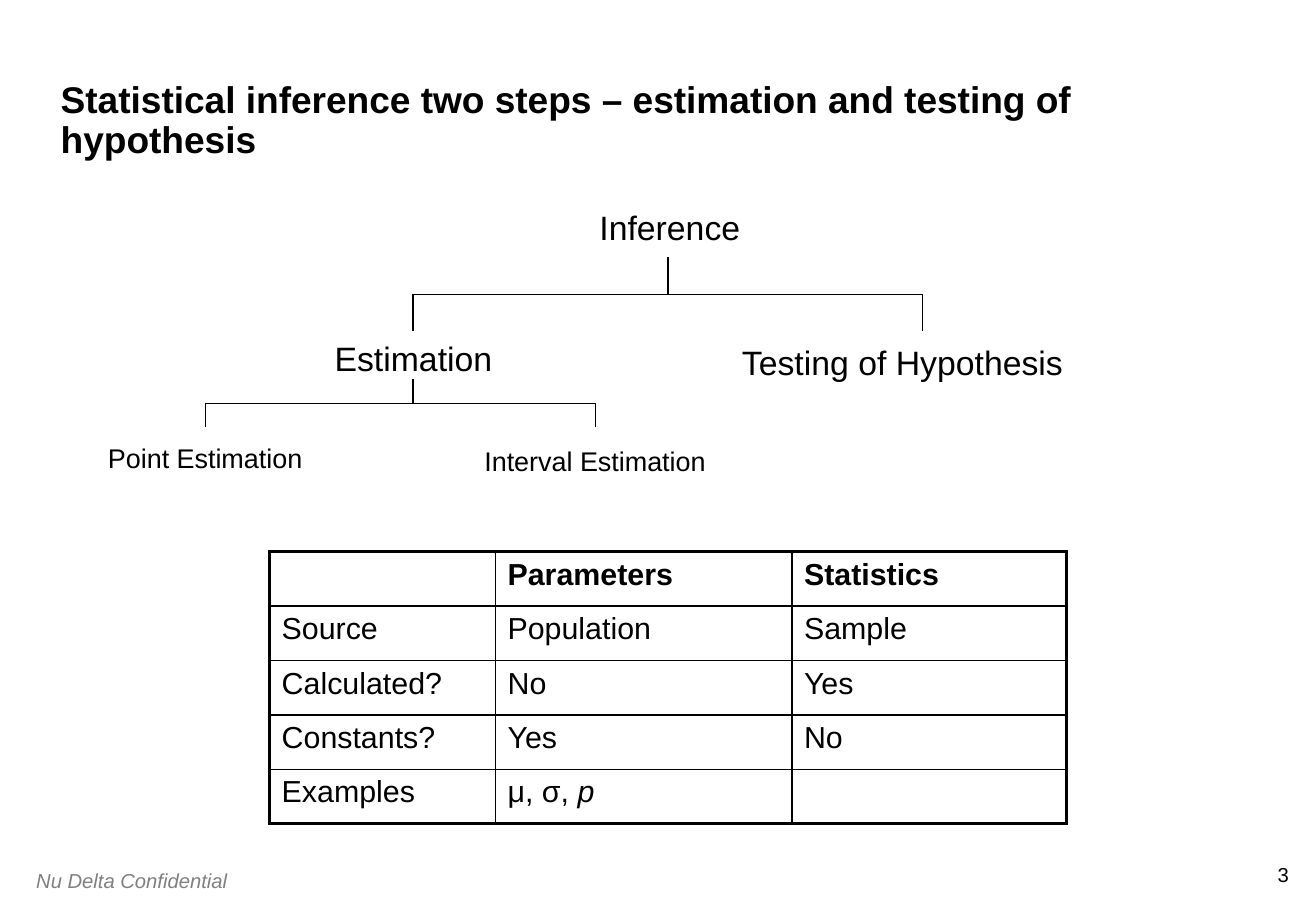
from dataclasses import dataclass, field
from typing import Any

from lxml.etree import SubElement
from pptx import Presentation
from pptx.dml.color import RGBColor
from pptx.enum.shapes import MSO_CONNECTOR
from pptx.enum.text import MSO_ANCHOR, PP_ALIGN
from pptx.oxml.ns import qn
from pptx.slide import Slide
from pptx.table import _Cell
from pptx.util import Pt

BLACK = RGBColor(0x00, 0x00, 0x00)
GREY = RGBColor(0x80, 0x80, 0x80)
WHITE = RGBColor(0xFF, 0xFF, 0xFF)

THIN_BORDER = Pt(1)
THICK_BORDER = Pt(2.25)
MARGINS = ("margin_left", "margin_top", "margin_right", "margin_bottom")
NO_MARGINS = {margin: 0 for margin in MARGINS}
CENTRED = {"alignment": PP_ALIGN.CENTER}
MIDDLE = {"vertical_anchor": MSO_ANCHOR.MIDDLE}


@dataclass
class Label:
    text: str
    left: float
    top: float
    width: float
    height: float
    size: float
    color: RGBColor = BLACK
    font_format: dict[str, Any] = field(default_factory=dict)
    paragraph_format: dict[str, Any] = field(default_factory=dict)
    frame_format: dict[str, Any] = field(default_factory=dict)


@dataclass
class Branch:
    stem: float
    left: float
    right: float
    top: float
    bar: float
    bottom: float


def node(text: str, left: float, top: float, width: float, size: float) -> Label:
    spacing = {"space_before": Pt(size / 10)}
    return Label(text, left, top, width, 36, size,
                 paragraph_format=CENTRED | spacing, frame_format=MIDDLE)


LABELS = [
    Label("3", 748.8, 511.2, 15.1, 14.4, 12,
          paragraph_format={"alignment": PP_ALIGN.RIGHT},
          frame_format=NO_MARGINS | {"word_wrap": False}),
    Label("Nu Delta Confidential", 14.4, 511.2, 144, 21.6, 12, GREY,
          font_format={"italic": True},
          paragraph_format={"space_before": Pt(1.2)}),
    Label("Statistical inference two steps – estimation and testing of hypothesis",
          36, 30, 708, 66, 22,
          font_format={"bold": True},
          paragraph_format={"line_spacing": 0.9},
          frame_format=NO_MARGINS | {"vertical_anchor": MSO_ANCHOR.BOTTOM}),
    node("Inference", 297.4, 116.6, 199.4, 20),
    node("Estimation", 145.4, 194.4, 199.4, 20),
    node("Testing of Hypothesis", 423.4, 196.6, 223.2, 20),
    node("Point Estimation", 54.7, 253.4, 133.9, 16),
    node("Interval Estimation", 275, 254.9, 155.5, 16),
]

BRANCHES = [
    Branch(stem=396, left=244.8, right=547, top=152.6, bar=174.4, bottom=196.2),
    Branch(stem=244.8, left=122, right=352.8, top=224.6, bar=239, bottom=253.4),
]

COLUMN_WIDTHS = [133.9, 175.7, 162.7]
ROW_HEIGHT = 32.3
BOLD = {"bold": True}
ITALIC = {"italic": True}
COMPARISON = [
    [[], [("Parameters", BOLD)], [("Statistics", BOLD)]],
    [[("Source", {})], [("Population", {})], [("Sample", {})]],
    [[("Calculated?", {})], [("No", {})], [("Yes", {})]],
    [[("Constants?", {})], [("Yes", {})], [("No", {})]],
    [[("Examples", {})], [("μ, σ, ", {}), ("p", ITALIC)], []],
]


def apply_format(target: Any, values: dict[str, Any]) -> None:
    for name, value in values.items():
        setattr(target, name, value)


def style_font(font: Any, size: float, color: RGBColor, values: dict[str, Any]) -> None:
    apply_format(font, {"name": "Arial", "size": Pt(size)} | values)
    font.color.rgb = color


def add_label(slide: Slide, label: Label) -> None:
    shape = slide.shapes.add_textbox(
        Pt(label.left), Pt(label.top), Pt(label.width), Pt(label.height))
    apply_format(shape.text_frame, {"word_wrap": True} | label.frame_format)
    paragraph = shape.text_frame.paragraphs[0]
    apply_format(paragraph, label.paragraph_format)
    run = paragraph.add_run()
    run.text = label.text
    style_font(run.font, label.size, label.color, label.font_format)


def add_line(slide: Slide, x1: float, y1: float, x2: float, y2: float) -> None:
    connector = slide.shapes.add_connector(
        MSO_CONNECTOR.STRAIGHT, Pt(x1), Pt(y1), Pt(x2), Pt(y2))
    connector.line.color.rgb = BLACK
    connector.line.width = Pt(0.75)
    SubElement(connector._element.spPr, qn("a:effectLst"))


def add_branch(slide: Slide, branch: Branch) -> None:
    add_line(slide, branch.stem, branch.top, branch.stem, branch.bar)
    add_line(slide, branch.left, branch.bar, branch.right, branch.bar)
    for end in (branch.left, branch.right):
        add_line(slide, end, branch.bar, end, branch.bottom)


def set_borders(cell: _Cell, outer_edges: dict[str, bool]) -> None:
    properties = cell._tc.get_or_add_tcPr()
    for edge, is_outer in outer_edges.items():
        width = THICK_BORDER if is_outer else THIN_BORDER
        line = SubElement(properties, qn(f"a:{edge}"), w=str(width))
        fill = SubElement(line, qn("a:solidFill"))
        SubElement(fill, qn("a:srgbClr"), val=str(BLACK))


def add_comparison(slide: Slide, left: float, top: float) -> None:
    row_count, column_count = len(COMPARISON), len(COLUMN_WIDTHS)
    table = slide.shapes.add_table(
        row_count, column_count, Pt(left), Pt(top),
        Pt(sum(COLUMN_WIDTHS)), Pt(ROW_HEIGHT * row_count)).table
    apply_format(table, {"first_row": False, "horz_banding": False})
    for column, width in zip(table.columns, COLUMN_WIDTHS):
        column.width = Pt(width)
    for row_index, row in enumerate(COMPARISON):
        table.rows[row_index].height = Pt(ROW_HEIGHT)
        for column_index, runs in enumerate(row):
            cell = table.cell(row_index, column_index)
            set_borders(cell, {
                "lnL": column_index == 0,
                "lnR": column_index == column_count - 1,
                "lnT": row_index == 0,
                "lnB": row_index == row_count - 1,
            })
            cell.fill.solid()
            cell.fill.fore_color.rgb = WHITE
            paragraph = cell.text_frame.paragraphs[0]
            for text, values in runs:
                run = paragraph.add_run()
                run.text = text
                style_font(run.font, 18, BLACK, values)


def main() -> None:
    presentation = Presentation()
    presentation.slide_width = Pt(780)
    presentation.slide_height = Pt(540)
    slide = presentation.slides.add_slide(presentation.slide_layouts[6])
    for label in LABELS:
        add_label(slide, label)
    for branch in BRANCHES:
        add_branch(slide, branch)
    add_comparison(slide, 159.8, 326.9)
    presentation.save("out.pptx")


if __name__ == "__main__":
    main()
